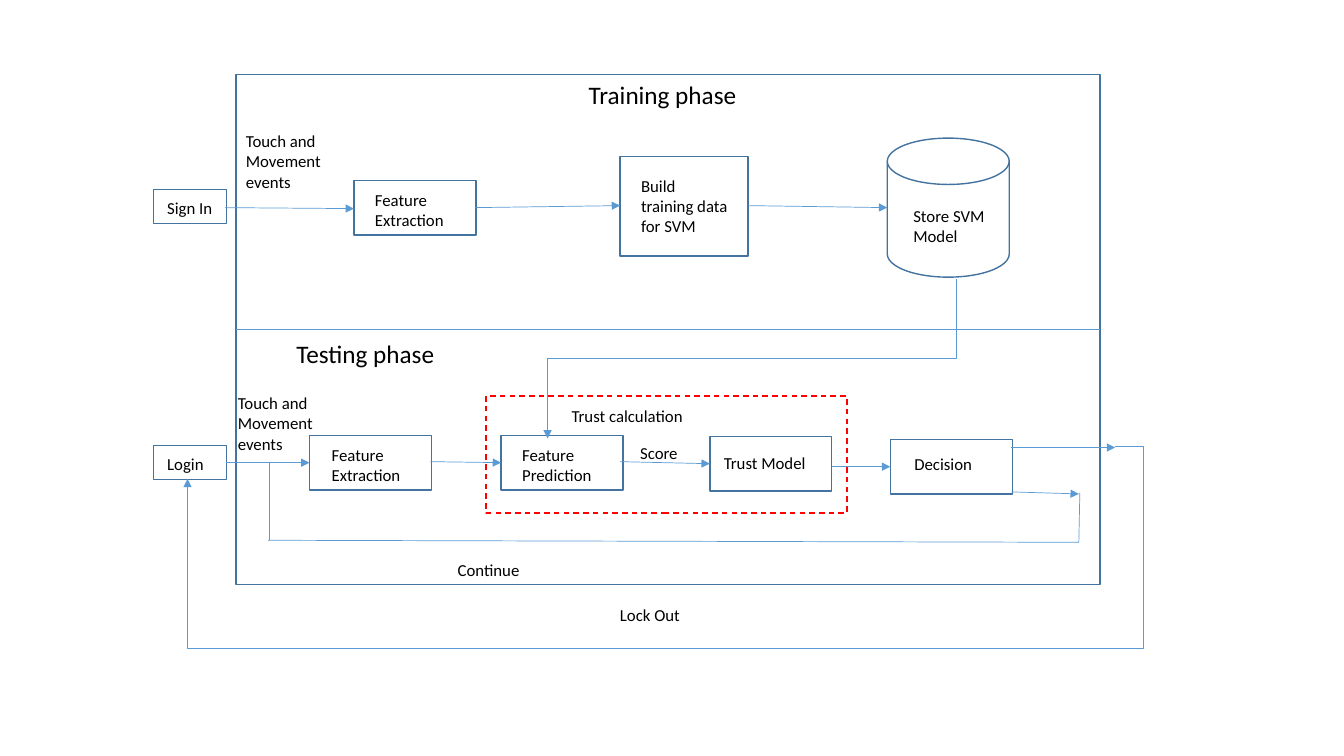
from dataclasses import dataclass

from lxml import etree
from pptx import Presentation
from pptx.dml.color import RGBColor
from pptx.enum import dml, shapes, text
from pptx.oxml import ns
from pptx.util import Inches, Pt


@dataclass(frozen=True)
class Theme:
    font: str = "Calibri"
    ink: str = "000000"
    outline: str = "43739E"
    flow: str = "5B9BD5"
    trust: str = "FF0000"
    title_size: float = 18
    label_size: float = 12
    outline_width: float = 1
    flow_width: float = 0.5


THEME = Theme()
STEP_SIZE = (1.21, 0.54)
ENTRY_SIZE = (0.73, 0.34)
RECT = shapes.MSO_SHAPE.RECTANGLE


def set_all(target, values):
    for name, value in values.items():
        setattr(target, name, value)


def add_outline(slide, place, kind=RECT, color=THEME.outline, dash=None):
    outline = slide.shapes.add_shape(kind, *map(Inches, place))
    outline.shadow.inherit = False
    outline.fill.background()
    outline.line.color.rgb = RGBColor.from_string(color)
    set_all(outline.line, {"width": Pt(THEME.outline_width), "dash_style": dash})


def add_label(slide, wording, place, size=THEME.label_size, wrap=True):
    label = slide.shapes.add_textbox(*map(Inches, place))
    set_all(label.text_frame, {
        "word_wrap": wrap,
        "auto_size": text.MSO_AUTO_SIZE.SHAPE_TO_FIT_TEXT,
        "text": wording,
    })
    font = label.text_frame.paragraphs[0].runs[0].font
    set_all(font, {"name": THEME.font, "size": Pt(size)})
    font.color.rgb = RGBColor.from_string(THEME.ink)


def add_flow(slide, start, end, arrow=True, kind=shapes.MSO_CONNECTOR.STRAIGHT):
    flow = slide.shapes.add_connector(kind, *map(Inches, (*start, *end)))
    flow.line.color.rgb = RGBColor.from_string(THEME.flow)
    flow.line.width = Pt(THEME.flow_width)
    if arrow:
        line = flow.line._get_or_add_ln()
        etree.SubElement(line, ns.qn("a:tailEnd"), type="triangle")
    etree.SubElement(flow._element.spPr, ns.qn("a:effectLst"))
    return flow


def add_bent_flow(slide, place, turn, preset, flip=None, bends=()):
    """Elbow arrow in an unturned box, turned by whole degrees."""
    left, top, width, height = place
    flow = add_flow(slide, (left, top), (left + width, top + height),
                    kind=shapes.MSO_CONNECTOR.ELBOW)
    properties = flow._element.spPr
    frame = properties.find(ns.qn("a:xfrm"))
    frame.set("rot", str(turn * 60000))
    if flip:
        frame.set(flip, "1")
    geometry = properties.find(ns.qn("a:prstGeom"))
    geometry.set("prst", preset)
    guides = geometry.find(ns.qn("a:avLst"))
    for number, bend in enumerate(bends, 1):
        etree.SubElement(guides, ns.qn("a:gd"), name=f"adj{number}",
                         fmla=f"val {round(bend * 100000)}")


def add_phases(slide):
    add_outline(slide, (2.34, 0.74, 8.57, 5.06))
    add_flow(slide, (2.34, 3.27), (10.91, 3.27), arrow=False)
    for wording, place in (
        ("Training phase", (5.74, 0.74, 1.68, 0.4)),
        ("Testing phase", (2.84, 3.31, 1.59, 0.4)),
    ):
        add_label(slide, wording, place, THEME.title_size, wrap=False)


def add_steps(slide):
    for wording, box, label in (
        ("Sign In", (1.52, 1.88, *ENTRY_SIZE), (1.56, 1.91, 0.67, 0.3)),
        ("Feature Extraction", (3.51, 1.79, *STEP_SIZE), (3.62, 1.83, 1.09, 0.5)),
        ("Build training data for SVM", (6.15, 1.55, 1.27, 0.99), (6.26, 1.69, 1.09, 0.71)),
        ("Login", (1.52, 4.42, *ENTRY_SIZE), (1.56, 4.45, 0.6, 0.3)),
        ("Feature Extraction", (3.07, 4.32, *STEP_SIZE), (3.19, 4.36, 1.09, 0.5)),
        ("Feature Prediction", (4.97, 4.32, *STEP_SIZE), (5.08, 4.36, 1.09, 0.5)),
        ("Trust Model", (7.04, 4.33, *STEP_SIZE), (7.08, 4.44, 1.09, 0.3)),
        ("Decision", (8.83, 4.36, *STEP_SIZE), (8.97, 4.45, 1.09, 0.3)),
    ):
        add_outline(slide, box)
        add_label(slide, wording, label)

    # Model store
    add_outline(slide, (8.8, 1.37, 1.21, 1.38),
                shapes.MSO_SHAPE.FLOWCHART_MAGNETIC_DISK)
    add_label(slide, "Store SVM Model", (8.96, 1.99, 1, 0.5))


def add_flows(slide):
    for start, end in (
        # Training
        ((2.23, 2.06), (3.51, 2.07)),
        ((4.71, 2.06), (6.15, 2.04)),
        ((7.42, 2.04), (8.8, 2.06)),
        # Testing
        ((2.24, 4.59), (3.07, 4.59)),
        ((4.27, 4.58), (4.97, 4.59)),
        ((6.15, 4.58), (7.04, 4.6)),
        ((8.25, 4.63), (8.83, 4.63)),
        # Decision outcomes
        ((10.03, 4.44), (11.06, 4.44)),
        ((10.03, 4.88), (10.7, 4.9)),
    ):
        add_flow(slide, start, end)

    # Continue loop
    for start, end in (
        ((2.67, 4.58), (2.67, 5.36)),
        ((2.66, 5.36), (10.7, 5.38)),
        ((10.71, 4.89), (10.7, 5.38)),
    ):
        add_flow(slide, start, end, arrow=False)

    # Stored model to prediction, then lock out to login
    add_bent_flow(slide, (6.67, 1.53, 1.58, 4.06), 90, "bentConnector3")
    add_bent_flow(slide, (1.86, 4.43, 9.2, 0.32), 180, "bentConnector4",
                  flip="flipV", bends=(-0.03, 6.26))


def add_notes_on_flows(slide):
    for wording, place in (
        ("Touch and Movement events", (2.34, 1.25, 1.09, 0.71)),
        ("Touch and Movement events", (2.26, 3.85, 1.09, 0.71)),
        ("Continue", (4.44, 5.5, 1.09, 0.3)),
        ("Lock Out", (6.05, 5.95, 1.09, 0.3)),
        ("Score", (6.25, 4.34, 0.59, 0.3)),
        ("Trust calculation", (5.57, 3.98, 1.41, 0.3)),
    ):
        add_label(slide, wording, place)


def main():
    deck = Presentation()
    set_all(deck, {"slide_width": Inches(13.33), "slide_height": Inches(7.5)})
    slide = deck.slides.add_slide(deck.slide_layouts[6])
    add_phases(slide)
    add_steps(slide)
    add_flows(slide)
    # Trust calculation group
    add_outline(slide, (4.82, 3.93, 3.58, 1.16), color=THEME.trust,
                dash=dml.MSO_LINE.DASH)
    add_notes_on_flows(slide)
    deck.save("out.pptx")


main()
